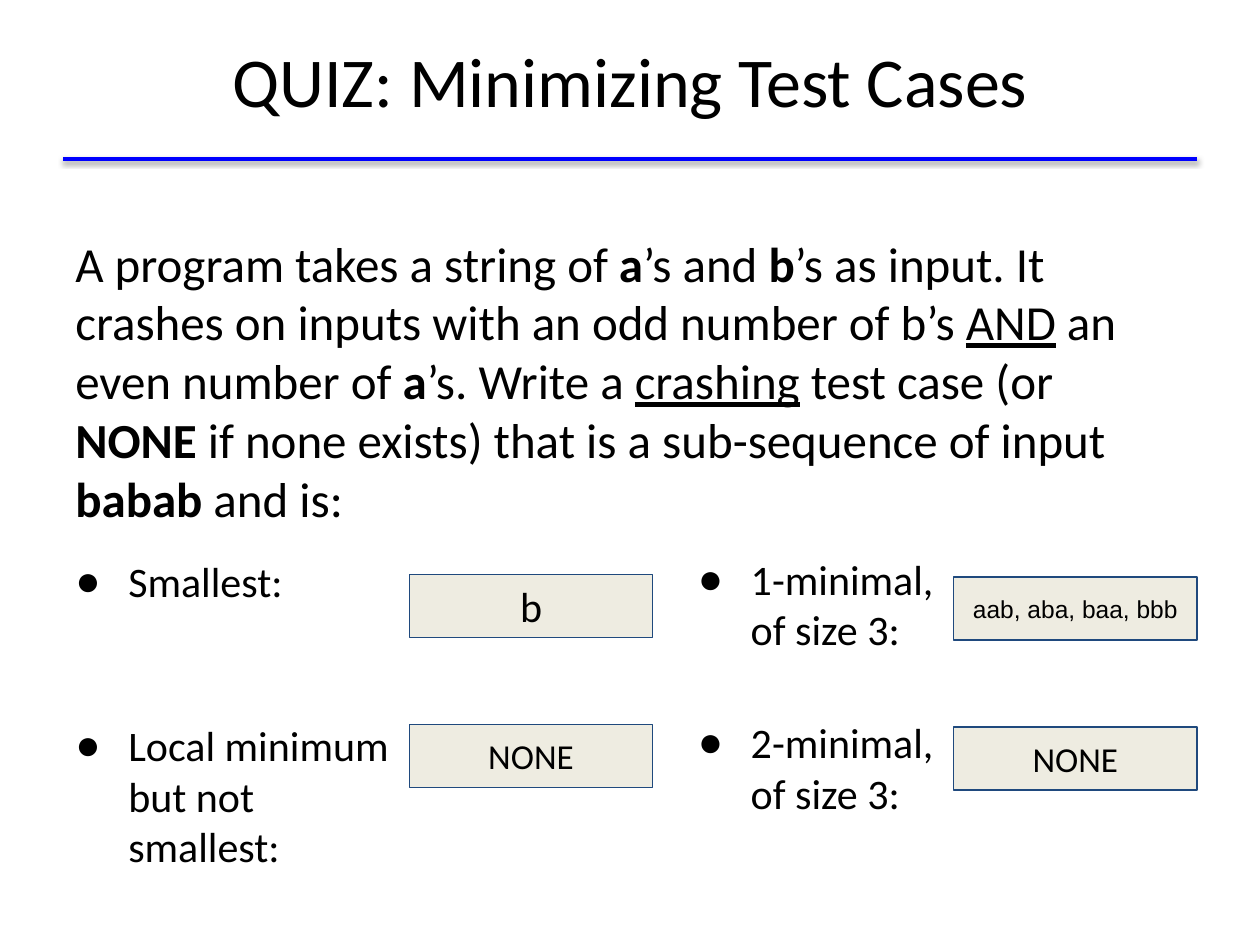
import pptx
import pptx.dml.color
import pptx.enum.shapes
import pptx.enum.text
import pptx.oxml
import pptx.oxml.ns
import pptx.util

Inches = pptx.util.Inches
Pt = pptx.util.Pt
ANCHOR = pptx.enum.text.MSO_ANCHOR
ALIGN = pptx.enum.text.PP_ALIGN
NS = pptx.oxml.ns.nsdecls("a")


def rgb(value):
    return pptx.dml.color.RGBColor.from_string(value)


def add_run(p, text, size=24, font="Calibri", color="000000", bold=False, underline=False):
    r = p.add_run()
    r.text = text
    r.font.size = Pt(size)
    r.font.name = font
    r.font.color.rgb = rgb(color)
    r.font.bold = bold
    r.font.underline = underline


class QuizSlide:
    INK = "000000"
    RULE = "0000FF"
    BOX_FILL = "EEECE1"
    BOX_LINE = "1F497D"
    LINE_HEIGHT = 29.3  # points, one line of 24 pt Calibri

    def __init__(self, prs):
        self.s = prs.slides.add_slide(prs.slide_layouts[5])

    def frame(self, sp, anchor):
        """Give the shape's text frame the common insets and wrapping."""
        tf = sp.text_frame
        tf.word_wrap = True
        tf.auto_size = pptx.enum.text.MSO_AUTO_SIZE.NONE
        tf.vertical_anchor = anchor
        tf.margin_left = tf.margin_right = tf.margin_top = tf.margin_bottom = Inches(0.1)
        return tf

    def title(self, text, x, y, w, h):
        sp = self.s.shapes.title
        sp.left, sp.top, sp.width, sp.height = Inches(x), Inches(y), Inches(w), Inches(h)
        p = self.frame(sp, ANCHOR.MIDDLE).paragraphs[0]
        p.alignment = ALIGN.CENTER
        add_run(p, text, size=40, color=self.INK)

    def rule(self, x1, x2, y):
        sp = self.s.shapes.add_connector(
            pptx.enum.shapes.MSO_CONNECTOR.STRAIGHT, Inches(x1), Inches(y), Inches(x2), Inches(y))
        sp.line.color.rgb = rgb(self.RULE)
        sp.line.width = Pt(2)
        sp._element.spPr.append(pptx.oxml.parse_xml(
            f'<a:effectLst {NS}><a:outerShdw blurRad="{Pt(3.1)}" dist="{Pt(1.6)}" dir="5400000" '
            'rotWithShape="0"><a:srgbClr val="000000"><a:alpha val="38000"/></a:srgbClr>'
            '</a:outerShdw></a:effectLst>'))

    def text_box(self, x, y, w, h, anchor):
        sp = self.s.shapes.add_textbox(Inches(x), Inches(y), Inches(w), Inches(h))
        return self.frame(sp, anchor)

    def question(self, parts, x, y, w, h):
        """Write (text, format) parts as one paragraph."""
        p = self.text_box(x, y, w, h, ANCHOR.TOP).paragraphs[0]
        for text, style in parts:
            add_run(p, text, size=28, color=self.INK, **style)

    def bullets(self, items, x, y, w, h, gap_lines):
        """Write bulleted items, each a list of lines, gap_lines apart."""
        tf = self.text_box(x, y, w, h, ANCHOR.MIDDLE)
        for i, lines in enumerate(items):
            p = tf.add_paragraph() if i else tf.paragraphs[0]
            p.space_before = Pt(6.4 + (gap_lines * self.LINE_HEIGHT if i else 0))
            pPr = p._p.get_or_add_pPr()
            pPr.set("marL", str(Inches(0.5)))
            pPr.set("indent", str(Inches(-0.42)))
            for xml in (f'<a:buClr {NS}><a:srgbClr val="{self.INK}"/></a:buClr>',
                        f'<a:buFont {NS} typeface="Arial"/>',
                        f'<a:buChar {NS} char="●"/>'):
                pPr.append(pptx.oxml.parse_xml(xml))
            for n, line in enumerate(lines):
                if n:
                    p.add_line_break()
                add_run(p, line, color=self.INK)

    def answer(self, text, x, y, size, font="Calibri"):
        sp = self.s.shapes.add_shape(pptx.enum.shapes.MSO_SHAPE.RECTANGLE,
                                     Inches(x), Inches(y), Inches(1.93), Inches(0.5))
        sp.shadow.inherit = False
        sp.fill.solid()
        sp.fill.fore_color.rgb = rgb(self.BOX_FILL)
        sp.line.color.rgb = rgb(self.BOX_LINE)
        sp.line.width = Pt(0.75)
        p = self.frame(sp, ANCHOR.MIDDLE).paragraphs[0]
        p.alignment = ALIGN.CENTER
        add_run(p, text, size=size, font=font, color=self.INK)


def main():
    prs = pptx.Presentation()
    prs.slide_width, prs.slide_height = Inches(10), Inches(7.5)
    quiz = QuizSlide(prs)
    quiz.rule(0.5, 9.5, 1.26)
    quiz.title("QUIZ: Minimizing Test Cases", 0.5, 0.01, 9, 1.25)

    plain, bold, underlined = {}, {"bold": True}, {"underline": True}
    quiz.question([
        ("A program takes a string of ", plain), ("a", bold), ("’s and ", plain), ("b", bold),
        ("’s as input. It crashes on inputs with an odd number of b’s ", plain),
        ("AND", underlined), (" an even number of ", plain), ("a", bold),
        ("’s. Write a ", plain), ("crashing", underlined), (" test case (or ", plain),
        ("NONE", bold), (" if none exists) that is a sub-sequence of input ", plain),
        ("babab", bold), (" and is:", plain),
    ], 0.5, 1.75, 9, 4.95)

    quiz.bullets([["Smallest:"], ["Local minimum", "but not smallest:"]],
                 0.42, 4.67, 2.84, 1.98, gap_lines=2)
    quiz.bullets([["1-minimal,", "of size 3:"], ["2-minimal,", "of size 3:"]],
                 5.36, 4.38, 2.38, 2.12, gap_lines=1)

    row_step = 1.19
    for x, y, first in ((3.25, 4.56, ("b", 24, "Calibri")),
                        (7.57, 4.58, ("aab, aba, baa, bbb", 14, "Arial"))):
        text, size, font = first
        quiz.answer(text, x, y, size, font)
        quiz.answer("NONE", x, y + row_step, 20)

    prs.save("out.pptx")


if __name__ == "__main__":
    main()
